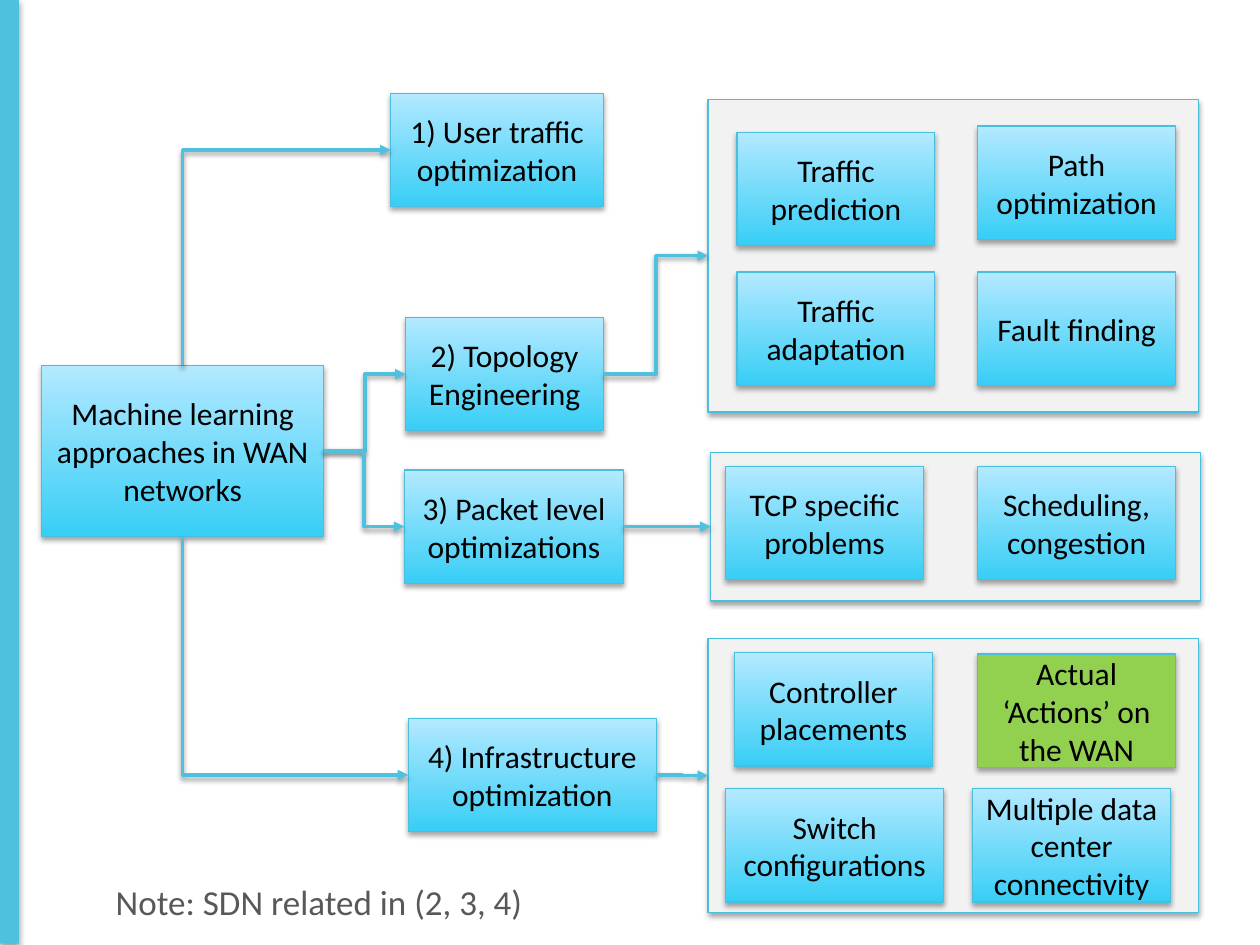
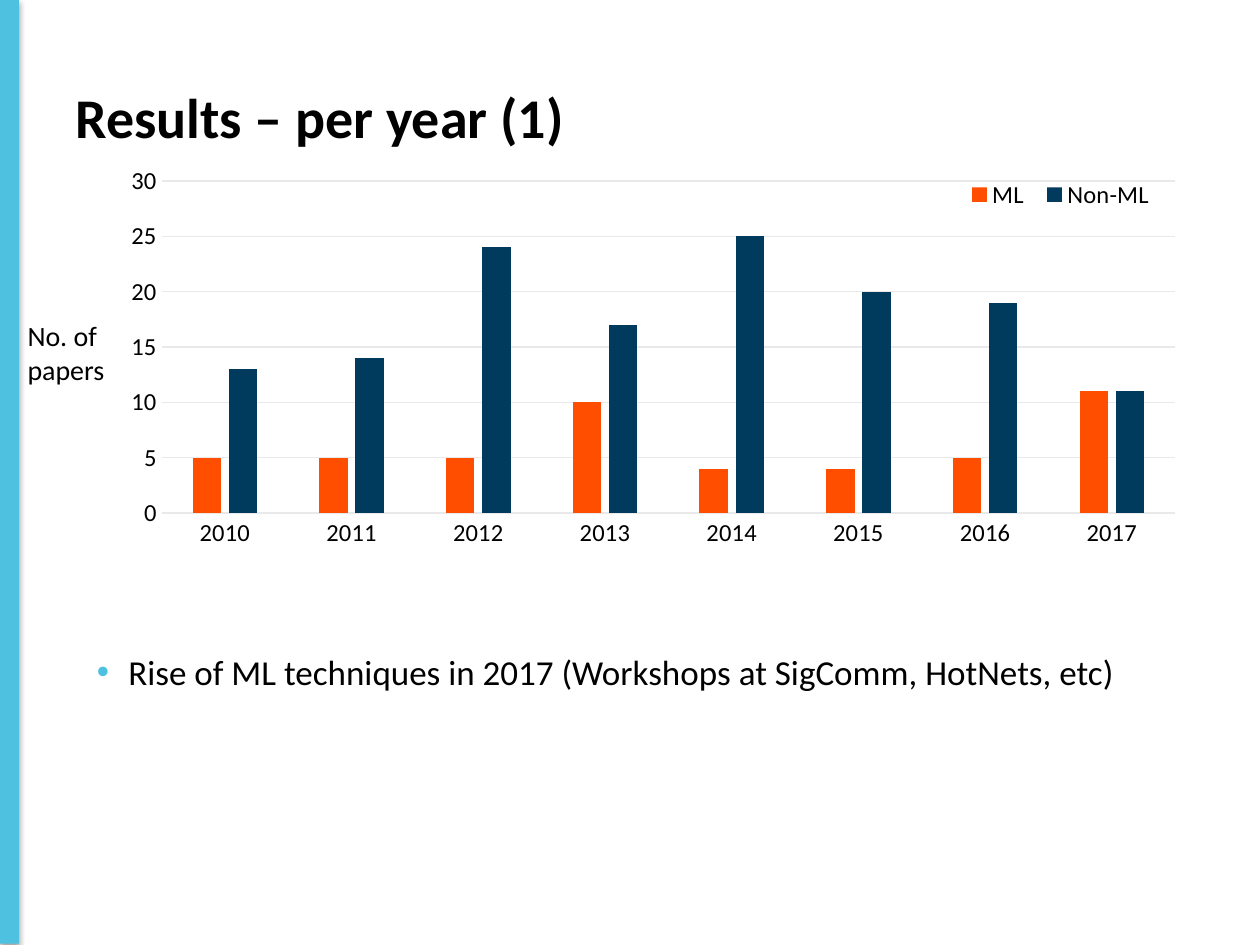
from lxml import etree
from pptx import Presentation
from pptx.chart.data import CategoryChartData
from pptx.dml.color import RGBColor
from pptx.enum.chart import XL_CHART_TYPE, XL_LEGEND_POSITION, XL_TICK_MARK
from pptx.enum.shapes import MSO_CONNECTOR, MSO_SHAPE
from pptx.enum.text import MSO_ANCHOR, PP_ALIGN
from pptx.oxml.ns import qn
from pptx.util import Inches, Pt

RECTANGLE = MSO_SHAPE.RECTANGLE
ELBOW = MSO_CONNECTOR.ELBOW
CENTER = PP_ALIGN.CENTER
MIDDLE = MSO_ANCHOR.MIDDLE
NO_TICKS = XL_TICK_MARK.NONE
TOP, LEFT, BOTTOM, RIGHT = range(4)

FONT = "Calibri"
BLACK = RGBColor(0x00, 0x00, 0x00)
GREY = RGBColor(0x58, 0x58, 0x5B)
ACCENT = RGBColor(0x4E, 0xC1, 0xE0)
OUTLINE = RGBColor(0x49, 0xBF, 0xDF)
PANEL = RGBColor(0xF2, 0xF2, 0xF2)
NODE_DARK = RGBColor(0x38, 0xCE, 0xF6)
NODE_LIGHT = RGBColor(0xB3, 0xE9, 0xFF)
GREEN = RGBColor(0x92, 0xD0, 0x50)
GRID = RGBColor(0xE9, 0xE9, 0xEA)
ORANGE = RGBColor(0xFF, 0x4E, 0x00)
NAVY = RGBColor(0x00, 0x3A, 0x5D)

NODE_WIDTH, NODE_HEIGHT = 1.57, 0.9
YEARS = range(2010, 2018)
PAPERS = [
    ("ML", [5, 5, 5, 10, 4, 4, 5, 11], ORANGE),
    ("Non-ML", [13, 14, 24, 17, 25, 20, 19, 11], NAVY),
]


def add_child(parent, tag, **attributes):
    child = etree.SubElement(parent, qn(tag))
    for name, value in attributes.items():
        child.set(name, str(value))
    return child


def add_shadow(shape, distance, opacity):
    """Give a shape or connector a soft shadow straight below it."""
    properties = shape.element.spPr
    for effects in properties.findall(qn("a:effectLst")):
        properties.remove(effects)
    effects = add_child(properties, "a:effectLst")
    shadow = add_child(effects, "a:outerShdw", blurRad=Pt(3.1), dist=Pt(distance),
                       dir=90 * 60000, rotWithShape=0)
    color = add_child(shadow, "a:srgbClr", val=BLACK)
    add_child(color, "a:alpha", val=opacity * 1000)


def write(paragraph, text, size, color=BLACK, bold=False):
    run = paragraph.add_run()
    run.text = text
    run.font.name = FONT
    run.font.size = Pt(size)
    run.font.bold = bold
    run.font.color.rgb = color


def add_text(slide, box, text, size, color=BLACK, bold=False):
    text_box = slide.shapes.add_textbox(*map(Inches, box))
    text_box.text_frame.word_wrap = True
    write(text_box.text_frame.paragraphs[0], text, size, color, bold)
    return text_box.text_frame


def add_rectangle(slide, box, fill=None, outlined=True):
    """Add a shadowed rectangle; without a fill colour it gets the node gradient."""
    rectangle = slide.shapes.add_shape(RECTANGLE, *map(Inches, box))
    if fill is None:
        rectangle.fill.gradient()
        rectangle.fill.gradient_angle = 90
        for stop, color in zip(rectangle.fill.gradient_stops, (NODE_DARK, NODE_LIGHT)):
            stop.color.rgb = color
    else:
        rectangle.fill.solid()
        rectangle.fill.fore_color.rgb = fill
    if outlined:
        rectangle.line.color.rgb = OUTLINE
        rectangle.line.width = Pt(0.75)
    else:
        rectangle.line.fill.background()
    add_shadow(rectangle, 1.8, 35)
    return rectangle


def add_node(slide, text, left, top, width=NODE_WIDTH, height=NODE_HEIGHT, fill=None):
    node = add_rectangle(slide, (left, top, width, height), fill)
    frame = node.text_frame
    frame.word_wrap = True
    frame.vertical_anchor = MIDDLE
    frame.paragraphs[0].alignment = CENTER
    write(frame.paragraphs[0], text, 18)
    return node


def add_panel(slide, left, top, height, nodes):
    """Add a grey panel with nodes placed relative to its corner."""
    panel = add_rectangle(slide, (left, top, 3.89, height), PANEL)
    for text, across, down, *options in nodes:
        add_node(slide, text, left + across, top + down, **(options[0] if options else {}))
    return panel


def add_arrow(slide, source, target, side=RIGHT):
    """Link a side of source to the left of target; top and bottom give one bend."""
    arrow = slide.shapes.add_connector(ELBOW, 0, 0, 0, 0)
    arrow.begin_connect(source, side)
    arrow.end_connect(target, LEFT)
    if side in (TOP, BOTTOM):
        turn_corner(arrow, upward=side == TOP)
    arrow.line.color.rgb = ACCENT
    arrow.line.width = Pt(2)
    add_child(arrow.line._get_or_add_ln(), "a:tailEnd", type="triangle")
    add_shadow(arrow, 1.6, 38)


def turn_corner(arrow, upward):
    """Make an elbow leave vertically and arrive horizontally with one bend."""
    left, top, width, height = arrow.left, arrow.top, arrow.width, arrow.height
    arrow.left = left + (width - height) // 2
    arrow.top = top + (height - width) // 2
    arrow.width, arrow.height = height, width
    properties = arrow.element.spPr
    properties.find(qn("a:prstGeom")).set("prst", "bentConnector2")
    transform = properties.find(qn("a:xfrm"))
    transform.set("rot", str((270 if upward else 90) * 60000))
    transform.set("flipH", "0")
    transform.set("flipV", "0" if upward else "1")


def add_base_slide(presentation):
    slide = presentation.slides.add_slide(presentation.slide_layouts[6])
    add_rectangle(slide, (0, 0, 0.15, 7.49), ACCENT, outlined=False)
    return slide


def build_approaches_slide(presentation):
    slide = add_base_slide(presentation)
    topology_panel = add_panel(slide, 5.62, 0.79, 2.48, [
        ("Traffic prediction", 0.23, 0.26),
        ("Traffic adaptation", 0.23, 1.37),
        ("Path optimization", 2.14, 0.21),
        ("Fault finding", 2.14, 1.37),
    ])
    packet_panel = add_panel(slide, 5.64, 3.59, 1.18, [
        ("TCP specific problems", 0.12, 0.11),
        ("Scheduling, congestion", 2.12, 0.11),
    ])
    infrastructure_panel = add_panel(slide, 5.62, 5.07, 2.17, [
        ("Controller placements", 0.21, 0.11),
        ("Switch configurations", 0.14, 1.19, {"width": 1.73}),
        ("Actual ‘Actions’ on the WAN", 2.14, 0.12, {"fill": GREEN}),
        ("Multiple data center connectivity", 2.1, 1.19),
    ])

    root = add_node(slide, "Machine learning approaches in WAN networks",
                    0.33, 2.9, 2.24, 1.36)
    user_traffic = add_node(slide, "1) User traffic optimization", 3.1, 0.74, 1.69)
    topology = add_node(slide, "2) Topology Engineering", 3.22, 2.52)
    packet = add_node(slide, "3) Packet level optimizations", 3.21, 3.73, 1.74)
    infrastructure = add_node(slide, "4) Infrastructure optimization", 3.24, 5.7, 1.97)

    add_arrow(slide, root, user_traffic, TOP)
    add_arrow(slide, root, topology)
    add_arrow(slide, root, packet)
    add_arrow(slide, root, infrastructure, BOTTOM)
    add_arrow(slide, topology, topology_panel)
    add_arrow(slide, packet, packet_panel)
    add_arrow(slide, infrastructure, infrastructure_panel)
    add_text(slide, (0.82, 6.94, 4.07, 0.44), "Note: SDN related in (2, 3, 4)", 20, GREY)


def set_layout(parent, index, fractions, inner=False):
    """Place a chart part by its x, y, w and h as fractions of the chart."""
    for layout in parent.findall(qn("c:layout")):
        parent.remove(layout)
    layout = etree.Element(qn("c:layout"))
    parent.insert(index, layout)
    manual = add_child(layout, "c:manualLayout")
    if inner:
        add_child(manual, "c:layoutTarget", val="inner")
    for axis in "xy":
        add_child(manual, f"c:{axis}Mode", val="edge")
    for name, fraction in zip("xywh", fractions):
        add_child(manual, f"c:{name}", val=fraction)


def style_font(font):
    font.name = FONT
    font.size = Pt(14)
    font.color.rgb = BLACK


def add_papers_chart(slide, box):
    data = CategoryChartData()
    data.categories = YEARS
    for name, values, _ in PAPERS:
        data.add_series(name, values)
    chart = slide.shapes.add_chart(
        XL_CHART_TYPE.COLUMN_CLUSTERED, *map(Inches, box), data).chart
    chart.has_title = False
    style_font(chart.font)

    plot = chart.plots[0]
    plot.gap_width = 219
    plot.overlap = -27
    plot.vary_by_categories = False
    for series, (_, _, color) in zip(plot.series, PAPERS):
        series.format.fill.solid()
        series.format.fill.fore_color.rgb = color

    years, counts = chart.category_axis, chart.value_axis
    for axis in (years, counts):
        axis.major_tick_mark = axis.minor_tick_mark = NO_TICKS
        style_font(axis.tick_labels.font)
    counts.minimum_scale, counts.maximum_scale, counts.major_unit = 0, 30, 5
    counts.format.line.fill.background()
    for line in (years.format.line, counts.major_gridlines.format.line):
        line.color.rgb = GRID
        line.width = Pt(0.75)

    chart.has_legend = True
    legend = chart.legend
    legend.position = XL_LEGEND_POSITION.BOTTOM
    legend.include_in_layout = False
    style_font(legend.font)
    chart_space = chart.element
    set_layout(chart_space.find(".//" + qn("c:plotArea")), 0,
               (0.05, 0.05, 0.93, 0.74), inner=True)
    set_layout(chart_space.find(".//" + qn("c:legend")), 1, (0.78, 0.04, 0.19, 0.08))


def add_bullet(slide, box, text):
    paragraph = add_text(slide, box, text, 20).paragraphs[0]
    properties = paragraph._p.get_or_add_pPr()
    properties.set("marL", str(Inches(0.25)))
    properties.set("indent", str(Inches(-0.25)))
    add_child(add_child(properties, "a:buClr"), "a:srgbClr", val=ACCENT)
    add_child(properties, "a:buFont", typeface="Arial")
    add_child(properties, "a:buChar", char="•")


def build_results_slide(presentation):
    slide = add_base_slide(presentation)
    title = add_text(slide, (0.5, 0.3, 9, 1.25), "Results – per year (1)", 32, bold=True)
    title.vertical_anchor = MIDDLE
    add_bullet(slide, (0.67, 5.11, 9, 2),
               "Rise of ML techniques in 2017 (Workshops at SigComm, HotNets, etc)")
    add_papers_chart(slide, (0.85, 1.26, 8.65, 3.56))
    add_text(slide, (0.12, 2.48, 1.08, 0.64), "No. of papers", 16)


def main():
    presentation = Presentation()
    presentation.slide_width = Inches(10)
    presentation.slide_height = Inches(7.5)
    build_approaches_slide(presentation)
    build_results_slide(presentation)
    presentation.save("out.pptx")


if __name__ == "__main__":
    main()
